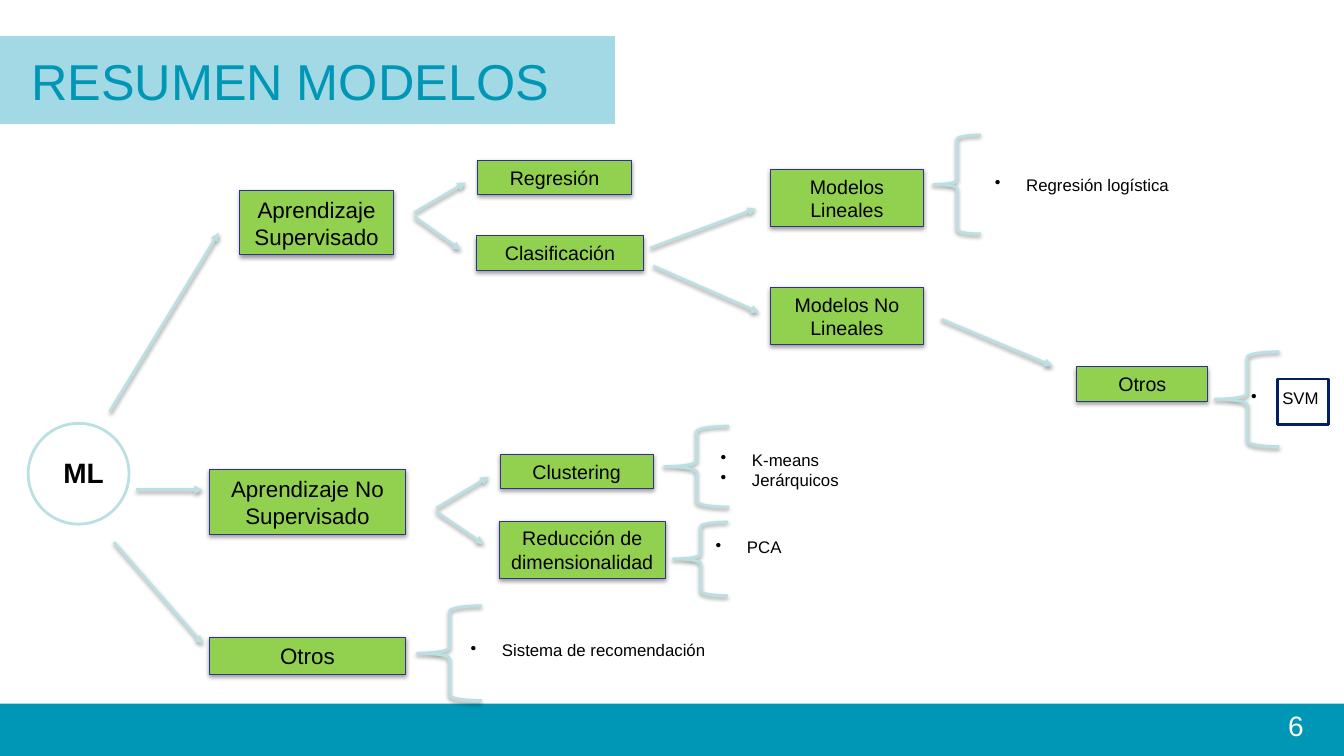
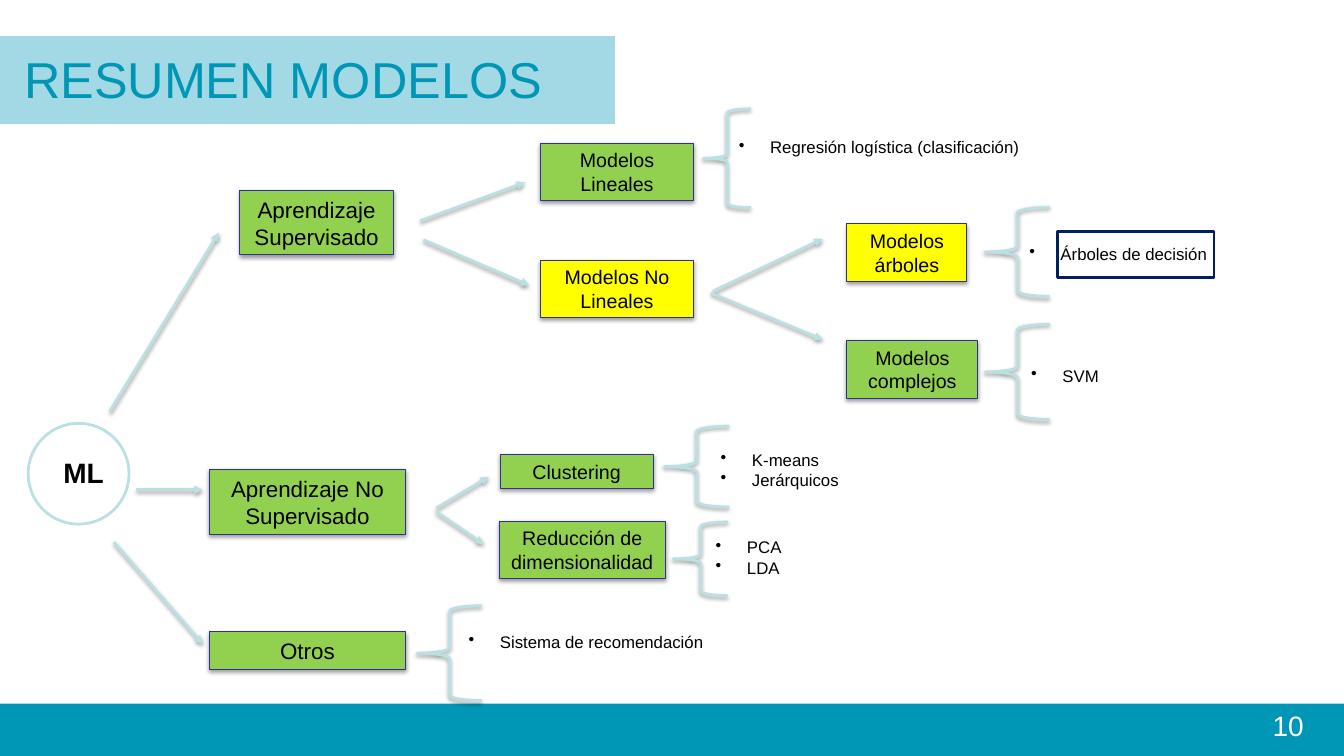
from lxml.etree import SubElement
from pptx import Presentation
from pptx.dml.color import RGBColor
from pptx.enum.shapes import MSO_CONNECTOR, MSO_SHAPE
from pptx.enum.text import MSO_ANCHOR, PP_ALIGN
from pptx.oxml.ns import qn
from pptx.util import Emu, Pt

PX = 9144
WIDE, HIGH = 1333, 750
TEAL, PALE, GREEN, YELLOW = "0097B6", "BBE0E3", "92D050", "FFFF00"
NAVY, BLUE, WHITE, BLACK = "002060", "2F2F98", "FFFFFF", "000000"
LEFT, CENTER, RIGHT = PP_ALIGN.LEFT, PP_ALIGN.CENTER, PP_ALIGN.RIGHT
RECT = MSO_SHAPE.RECTANGLE
color = RGBColor.from_string


def dress(shape, fill, line, width=2, shade=False):
    if fill:
        shape.fill.solid()
        shape.fill.fore_color.rgb = color(fill)
    if line:
        shape.line.color.rgb = color(line)
        shape.line.width = Pt(width)
    else:
        shape.line.fill.background()
    effect = SubElement(shape._element.spPr, qn("a:effectLst"))
    if shade:
        shadow = SubElement(effect, qn("a:outerShdw"), blurRad="40000", dist="20000",
                            dir="5400000", rotWithShape="0")
        tone = SubElement(shadow, qn("a:srgbClr"), val=BLACK)
        SubElement(tone, qn("a:alpha"), val="38000")


def write(shape, text, size, ink=BLACK, align=LEFT, bold=False, bullet=False):
    frame = shape.text_frame
    frame.word_wrap = True
    frame.text = text
    for para in frame.paragraphs:
        para.alignment = align
        for run in para.runs:
            run.font.name = "Arial"
            run.font.size = Pt(size)
            run.font.bold = bold
            run.font.color.rgb = color(ink)
        if bullet:
            props = para._p.get_or_add_pPr()
            props.set("marL", str(31 * PX))
            props.set("indent", str(-31 * PX))
            SubElement(props, qn("a:buChar"), char="•")


shared = {
    "boxes": [
        (238, 189, 152, 64, "Aprendizaje Supervisado", 16, GREEN),
        (208, 466, 194, 64, "Aprendizaje No Supervisado", 16, GREEN),
        (496, 451, 152, 34, "Clustering", 14, GREEN),
        (495, 517, 165, 57, "Reducción de dimensionalidad", 14, GREEN),
    ],
    "arrows": [
        (109, 408, 217, 231), (135, 486, 201, 486), (113, 538, 201, 639),
        (433, 504, 485, 473), (433, 508, 480, 540),
    ],
    "braces": [(659, 423, 64, 80), (414, 601, 64, 94), (668, 518, 54, 73)],
    "lists": [(705, 441, "K-means\nJerárquicos")],
}

pages = [
    {
        "number": "6",
        "title": (21, 48),
        "boxes": [
            (764, 168, 152, 57, "Modelos Lineales", 14, GREEN),
            (764, 285, 152, 57, "Modelos No Lineales", 14, GREEN),
            (1068, 364, 130, 34, "Otros", 14, GREEN),
            (208, 632, 194, 37, "Otros", 16, GREEN),
            (474, 159, 152, 34, "Regresión", 14, GREEN),
            (473, 234, 165, 34, "Clasificación", 14, GREEN),
        ],
        "arrows": [
            (934, 317, 1044, 363), (645, 246, 750, 207), (648, 264, 753, 310),
            (411, 211, 462, 181), (411, 215, 457, 248),
        ],
        "braces": [(926, 134, 47, 98), (1205, 349, 64, 94)],
        "lists": [
            (977, 168, "Regresión logística"),
            (1231, 380, "SVM"),
            (457, 630, "Sistema de recomendación"),
            (700, 528, "PCA"),
        ],
        "frame": (1267, 376, 51, 45),
    },
    {
        "number": "10",
        "title": (14, 46),
        "boxes": [
            (536, 142, 152, 57, "Modelos Lineales", 14, GREEN),
            (536, 258, 152, 57, "Modelos No Lineales", 14, YELLOW),
            (840, 222, 119, 57, "Modelos árboles", 14, YELLOW),
            (840, 338, 130, 57, "Modelos complejos", 14, GREEN),
            (208, 627, 194, 37, "Otros", 16, GREEN),
        ],
        "arrows": [
            (707, 289, 816, 237), (705, 291, 816, 337),
            (417, 219, 521, 181), (420, 238, 525, 283),
        ],
        "braces": [(698, 108, 47, 98), (977, 206, 64, 88), (977, 322, 64, 94)],
        "lists": [
            (723, 131, "Regresión logística (clasificación)"),
            (455, 622, "Sistema de recomendación"),
            (700, 528, "PCA\nLDA"),
            (1013, 358, "SVM"),
            (1011, 237, "Árboles de decisión"),
        ],
        "frame": (1049, 230, 155, 45),
    },
]

deck = Presentation()
deck.slide_width, deck.slide_height = Emu(WIDE * PX), Emu(HIGH * PX)

for page in pages:
    shapes = deck.slides.add_slide(deck.slide_layouts[6]).shapes

    foot = shapes.add_shape(RECT, 0, 698 * PX, WIDE * PX, 52 * PX)
    dress(foot, TEAL, None)
    band = shapes.add_shape(RECT, 0, 36 * PX, 610 * PX, 87 * PX)
    dress(band, TEAL, None)
    tint = band._element.spPr.find(qn("a:solidFill"))[0]
    SubElement(tint, qn("a:alpha"), val="36000")

    number = shapes.add_textbox(1070 * PX, 698 * PX, 233 * PX, 52 * PX)
    write(number, page["number"], 20, WHITE, RIGHT)
    left, top = page["title"]
    title = shapes.add_textbox(left * PX, top * PX, 582 * PX, 63 * PX)
    write(title, "RESUMEN MODELOS", 36, TEAL)
    title.text_frame.vertical_anchor = MSO_ANCHOR.MIDDLE

    root = shapes.add_group_shape().shapes
    ring = root.add_shape(MSO_SHAPE.OVAL, 28 * PX, 420 * PX, 100 * PX, 100 * PX)
    dress(ring, WHITE, PALE)
    label = root.add_shape(RECT, 53 * PX, 447 * PX, 65 * PX, 44 * PX)
    dress(label, WHITE, WHITE)
    write(label, "ML", 20, bold=True)

    for left, top, width, height, text, size, fill in shared["boxes"] + page["boxes"]:
        box = shapes.add_shape(RECT, left * PX, top * PX, width * PX, height * PX)
        dress(box, fill, BLUE, 0.75, True)
        write(box, text, size, align=CENTER)

    for ends in shared["arrows"] + page["arrows"]:
        arrow = shapes.add_connector(MSO_CONNECTOR.STRAIGHT, *[end * PX for end in ends])
        dress(arrow, None, PALE, shade=True)
        SubElement(arrow.line._get_or_add_ln(), qn("a:tailEnd"), type="triangle")

    for area in shared["braces"] + page["braces"]:
        brace = shapes.add_shape(MSO_SHAPE.LEFT_BRACE, *[side * PX for side in area])
        brace.fill.background()
        dress(brace, None, PALE, shade=True)

    for left, top, text in shared["lists"] + page["lists"]:
        width = min(325, WIDE - left)
        height = 10 + 20 * len(text.split("\n"))
        items = shapes.add_textbox(left * PX, top * PX, width * PX, height * PX)
        write(items, text, 12, bullet=True)

    frame = shapes.add_shape(RECT, *[side * PX for side in page["frame"]])
    frame.fill.background()
    dress(frame, None, NAVY)

deck.save("out.pptx")
